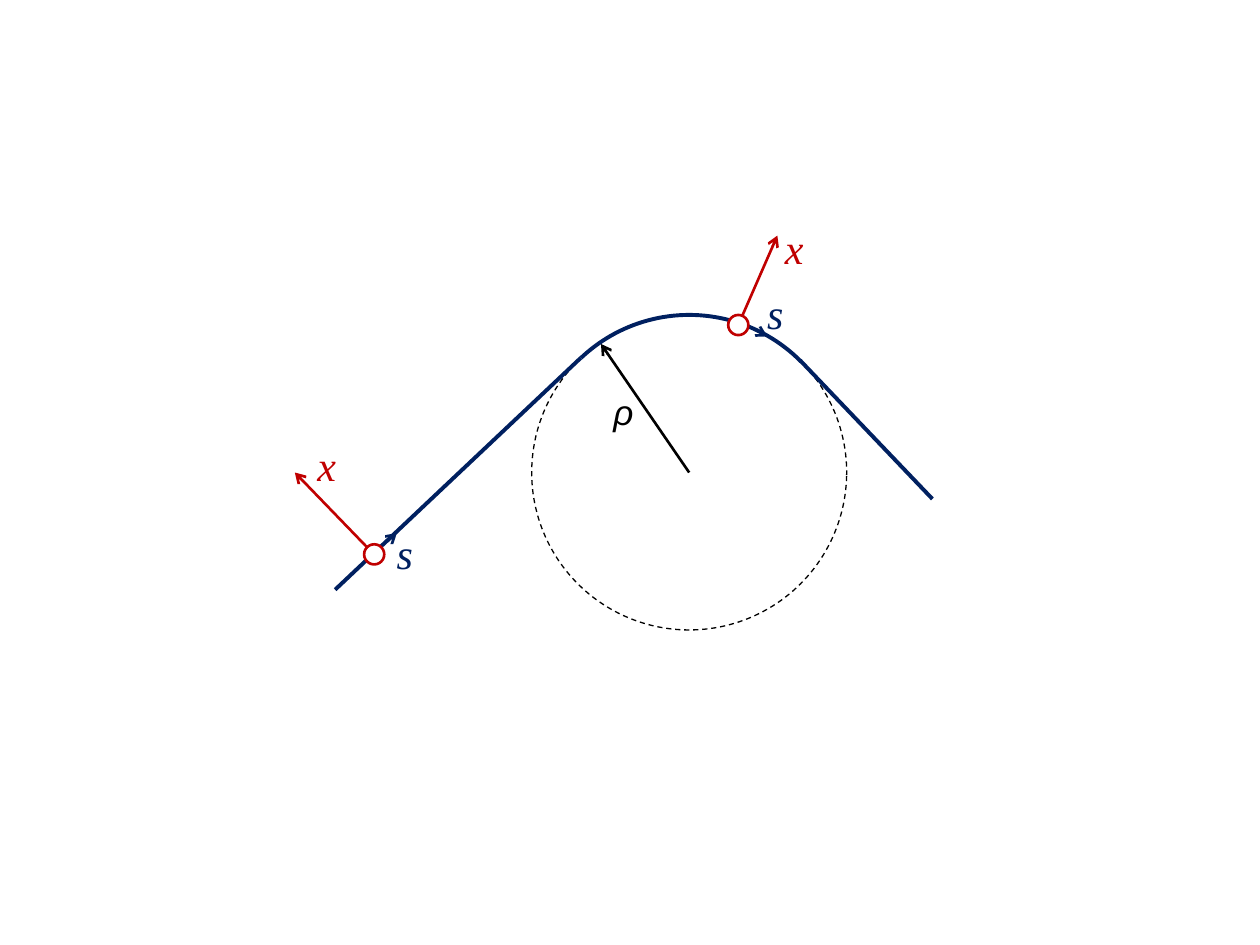
from dataclasses import dataclass

from lxml import etree
from pptx import Presentation
from pptx.dml.color import RGBColor
from pptx.enum.dml import MSO_LINE
from pptx.enum.shapes import MSO_CONNECTOR, MSO_SHAPE
from pptx.enum.text import MSO_AUTO_SIZE
from pptx.oxml.ns import qn
from pptx.util import Inches, Pt

ARC, OVAL = MSO_SHAPE.ARC, MSO_SHAPE.OVAL
STRAIGHT = MSO_CONNECTOR.STRAIGHT
DASH = MSO_LINE.DASH
FIT = MSO_AUTO_SIZE.SHAPE_TO_FIT_TEXT

NAVY = RGBColor(0x00, 0x20, 0x60)
RED = RGBColor(0xC0, 0x00, 0x00)
BLACK = RGBColor(0x00, 0x00, 0x00)
WHITE = RGBColor(0xFF, 0xFF, 0xFF)
SERIF, SANS = "Times New Roman", "Arial"

RING = (4.22, 2.5, 2.5)  # left, top, diameter
DOT = 0.16

Point = tuple[float, float]


@dataclass
class Line:
    start: Point
    end: Point
    color: RGBColor
    width: float = 1.5
    arrow: bool = True


@dataclass
class Label:
    text: str
    box: tuple[float, float, float, float]
    color: RGBColor
    font: str = SERIF
    size: int = 24


@dataclass
class Frame:
    """A point on the path with its x and s axes."""
    dot: Point
    x_axis: Line
    s_axis: Line


def draw_arc(shapes, first: float, last: float, color: RGBColor, width: float):
    left, top, size = (Inches(v) for v in RING)
    arc = shapes.add_shape(ARC, left, top, size, size)
    # Angles are stored in 1/60000 degree, adjustments in 1/100000
    arc.adjustments[0] = first * 0.6
    arc.adjustments[1] = last * 0.6
    arc.shadow.inherit = False
    arc.fill.background()
    arc.line.color.rgb = color
    arc.line.width = Pt(width)
    return arc


def draw_line(shapes, line: Line) -> None:
    ends = [Inches(v) for v in line.start + line.end]
    item = shapes.add_connector(STRAIGHT, *ends)
    item.line.color.rgb = line.color
    item.line.width = Pt(line.width)
    if line.arrow:
        tail = etree.SubElement(item.line._get_or_add_ln(), qn("a:tailEnd"))
        tail.set("type", "arrow")
    etree.SubElement(item._element.spPr, qn("a:effectLst"))


def draw_frame(shapes, frame: Frame) -> None:
    left, top = frame.dot
    dot = shapes.add_shape(OVAL, Inches(left), Inches(top), Inches(DOT), Inches(DOT))
    dot.shadow.inherit = False
    dot.fill.solid()
    dot.fill.fore_color.rgb = WHITE
    dot.line.color.rgb = RED
    dot.line.width = Pt(1.5)
    draw_line(shapes, frame.x_axis)
    draw_line(shapes, frame.s_axis)


def draw_label(shapes, label: Label) -> None:
    box = shapes.add_textbox(*(Inches(v) for v in label.box))
    frame = box.text_frame
    frame.text = label.text
    frame.word_wrap = False
    frame.auto_size = FIT
    font = frame.paragraphs[0].runs[0].font
    font.name = label.font
    font.size = Pt(label.size)
    font.italic = True
    font.color.rgb = label.color


PATH = [
    Line((2.66, 4.68), (4.61, 2.84), NAVY, 2.25, False),
    Line((7.4, 3.96), (6.35, 2.86), NAVY, 2.25, False),
]
FRAMES = [
    Frame((2.89, 4.32), Line((2.91, 4.34), (2.34, 3.75), RED),
          Line((3.07, 4.3), (3.15, 4.23), NAVY)),
    Frame((5.78, 2.5), Line((5.89, 2.51), (6.17, 1.87), RED),
          Line((5.98, 2.61), (6.09, 2.67), NAVY)),
]
LABELS = [
    Label("x", (2.42, 3.44, 0.35, 0.5), RED),
    Label("x", (6.13, 1.72, 0.35, 0.5), RED),
    Label("s", (3.05, 4.14, 0.33, 0.5), NAVY),
    Label("s", (5.99, 2.23, 0.33, 0.5), NAVY),
]
RADIUS = Line((5.47, 3.75), (4.77, 2.73), BLACK)
RHO = Label("ρ", (4.77, 3.05, 0.36, 0.44), BLACK, SANS, 20)


def main() -> None:
    deck = Presentation()
    deck.slide_width, deck.slide_height = Inches(10), Inches(7.5)
    shapes = deck.slides.add_slide(deck.slide_layouts[6]).shapes

    # Dashed circle and the bent path that follows it
    draw_arc(shapes, 1.25, 0.91, BLACK, 0.75).line.dash_style = DASH
    draw_arc(shapes, 226.63, 315.19, NAVY, 2.25)
    for line in PATH:
        draw_line(shapes, line)

    # Moving frames and their axis names
    for frame in FRAMES:
        draw_frame(shapes, frame)
    for label in LABELS:
        draw_label(shapes, label)

    # Bending radius
    draw_line(shapes, RADIUS)
    draw_label(shapes, RHO)

    deck.save("out.pptx")


if __name__ == "__main__":
    main()
